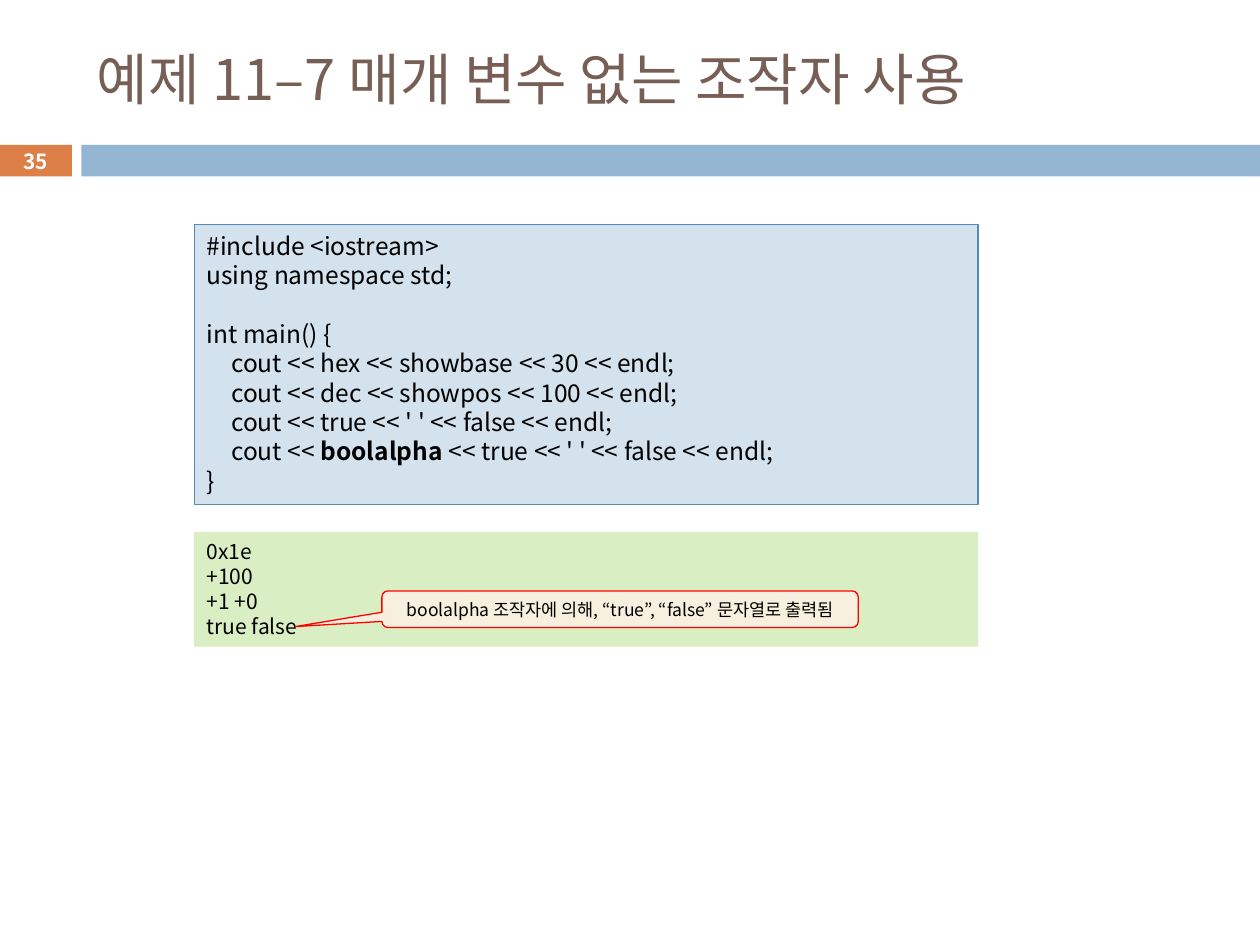
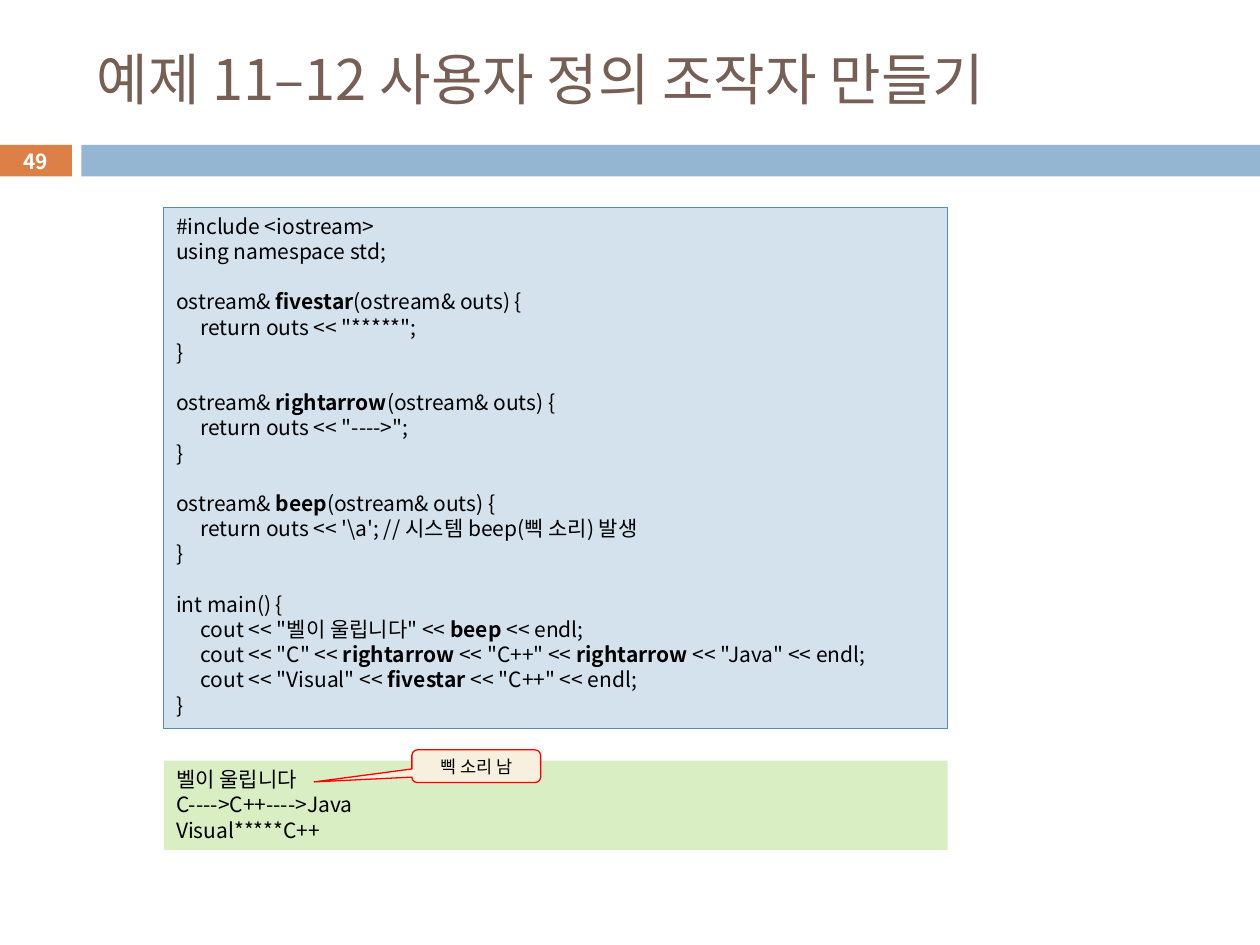
from dataclasses import dataclass

from lxml.etree import SubElement
from pptx import Presentation
from pptx.dml.color import RGBColor
from pptx.enum.shapes import MSO_SHAPE as Shape
from pptx.enum.text import MSO_ANCHOR as Anchor, MSO_AUTO_SIZE as AutoSize, PP_ALIGN as Align
from pptx.oxml.ns import qn
from pptx.util import Pt


@dataclass(frozen=True)
class Theme:
    font: str = "Noto Sans CJK KR"
    title: str = "775F55"
    number_band: str = "DD8047"
    wide_band: str = "94B6D2"
    code_fill: str = "D4E2ED"
    code_line: str = "558BB8"
    output_fill: str = "DAEEC4"
    callout_fill: str = "F7F0DE"
    callout_line: str = "FF0000"
    text: str = "000000"
    white: str = "FFFFFF"
    title_size: float = 32
    number_size: float = 11.9
    output_size: float = 12
    callout_size: float = 10
    line_height: float = 1.2
    code_indent: float = 14


theme = Theme()

examples = [
    {
        "title": "예제 11–7 매개 변수 없는 조작자 사용",
        "number": "35",
        "code_box": (111, 128.2, 448, 160),
        "code_size": 14,
        # Backticks enclose bold text.
        "code": [
            "#include <iostream>",
            "using namespace std;",
            "",
            "int main() {",
            "\tcout << hex << showbase << 30 << endl;",
            "\tcout << dec << showpos << 100 << endl;",
            "\tcout << true << ' ' << false << endl;",
            "\tcout << `boolalpha` << true << ' ' << false << endl;",
            "}",
        ],
        "output_box": (111, 304, 448, 65.5),
        "output": ["0x1e", "+100", "+1 +0", "true false"],
        "callout_box": (218.2, 337.7, 272.2, 20.9),
        "callout_tip": (-0.682, 0.475),
        "callout": "boolalpha 조작자에 의해, “true”, “false” 문자열로 출력됨",
    },
    {
        "title": "예제 11–12 사용자 정의 조작자 만들기",
        "number": "49",
        "code_box": (93.6, 118.4, 448, 298),
        "code_size": 12,
        "code": [
            "#include <iostream>",
            "using namespace std;",
            "",
            "ostream& `fivestar`(ostream& outs) {",
            '\treturn outs << "*****";',
            "}",
            "",
            "ostream& `rightarrow`(ostream& outs) {",
            '\treturn outs << "---->";',
            "}",
            "",
            "ostream& `beep`(ostream& outs) {",
            "\treturn outs << '\\a'; // 시스템 beep(삑 소리) 발생",
            "}",
            "",
            "int main() {",
            '\tcout << "벨이 울립니다" <<` beep `<< endl;',
            '\tcout << "C" << `rightarrow` << "C++" << `rightarrow` << "Java" << endl;',
            '\tcout << "Visual" << `fivestar `<< "C++" << endl;',
            "}",
        ],
        "output_box": (93.6, 434.6, 448, 51),
        "output": ["벨이 울립니다", "C---->C++---->Java", "Visual*****C++"],
        "callout_box": (235.4, 428.5, 73.6, 18.7),
        "callout_tip": (-1.26, 0.48),
        "callout": "삑 소리 남",
    },
]


def add_box(slide, kind, box, fill, line=None):
    shape = slide.shapes.add_shape(kind, *map(Pt, box))
    shape.shadow.inherit = False
    shape.fill.solid()
    shape.fill.fore_color.rgb = RGBColor.from_string(fill)
    if line:
        shape.line.color.rgb = RGBColor.from_string(line)
        shape.line.width = Pt(0.75)
    else:
        shape.line.fill.background()
    return shape


def write_lines(shape, lines, size, color=theme.text, align=Align.LEFT,
                anchor=Anchor.TOP, bold=False, wrap=True):
    """Write one paragraph per line; backticks switch bold on and off."""
    frame = shape.text_frame
    frame.word_wrap = wrap
    frame.auto_size = AutoSize.NONE
    frame.vertical_anchor = anchor
    for index, line in enumerate(lines):
        paragraph = frame.add_paragraph() if index else frame.paragraphs[0]
        if line.startswith("\t"):
            tabs = SubElement(paragraph._p.get_or_add_pPr(), qn("a:tabLst"))
            SubElement(tabs, qn("a:tab"), pos=str(Pt(theme.code_indent)), algn="l")
        paragraph.alignment = align
        paragraph.line_spacing = Pt(size * theme.line_height)
        for part, text in enumerate(line.split("`")):
            if not text:
                continue
            run = paragraph.add_run()
            run.text = text
            run.font.size = Pt(size)
            run.font.bold = bold or part % 2 == 1
            run.font.color.rgb = RGBColor.from_string(color)
            run.font.name = theme.font
            SubElement(run.font._element, qn("a:ea"), typeface=theme.font)


presentation = Presentation()
presentation.slide_width, presentation.slide_height = Pt(720), Pt(540)
title_only = presentation.slide_layouts[5]

for example in examples:
    slide = presentation.slides.add_slide(title_only)

    number_band = add_box(slide, Shape.RECTANGLE, (-0.7, 82.8, 41.8, 18), theme.number_band)
    write_lines(number_band, [example["number"]], theme.number_size, theme.white,
                Align.CENTER, Anchor.MIDDLE, bold=True)
    add_box(slide, Shape.RECTANGLE, (46.5, 82.8, 673.5, 18), theme.wide_band)

    title = slide.shapes.title
    title.left, title.top, title.width, title.height = map(Pt, (48.2, 18, 642.2, 53.3))
    write_lines(title, [example["title"]], theme.title_size, theme.title,
                anchor=Anchor.MIDDLE)

    code = add_box(slide, Shape.RECTANGLE, example["code_box"],
                   theme.code_fill, theme.code_line)
    write_lines(code, example["code"], example["code_size"])

    output = add_box(slide, Shape.RECTANGLE, example["output_box"], theme.output_fill)
    write_lines(output, example["output"], theme.output_size)

    callout = add_box(slide, Shape.ROUNDED_RECTANGULAR_CALLOUT, example["callout_box"],
                      theme.callout_fill, theme.callout_line)
    callout.adjustments[0], callout.adjustments[1] = example["callout_tip"]
    write_lines(callout, [example["callout"]], theme.callout_size,
                align=Align.CENTER, anchor=Anchor.MIDDLE, wrap=False)

presentation.save("out.pptx")
